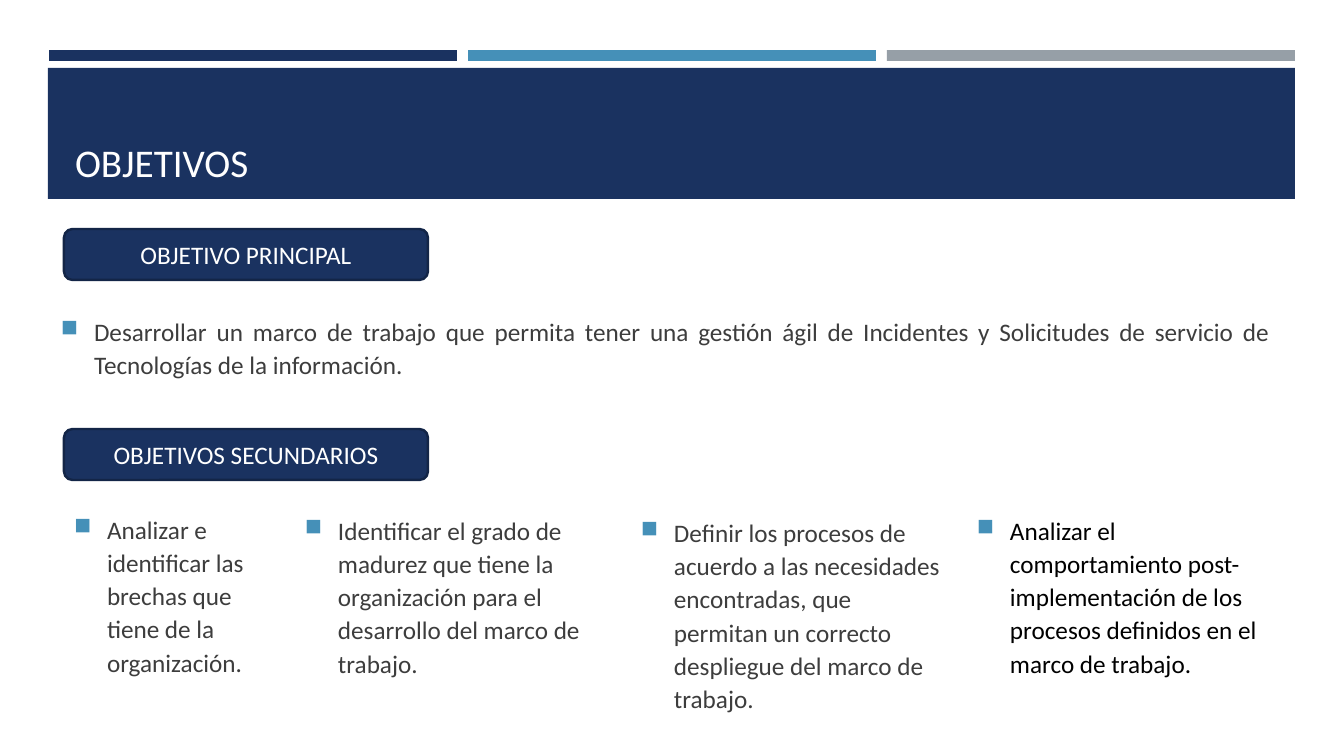
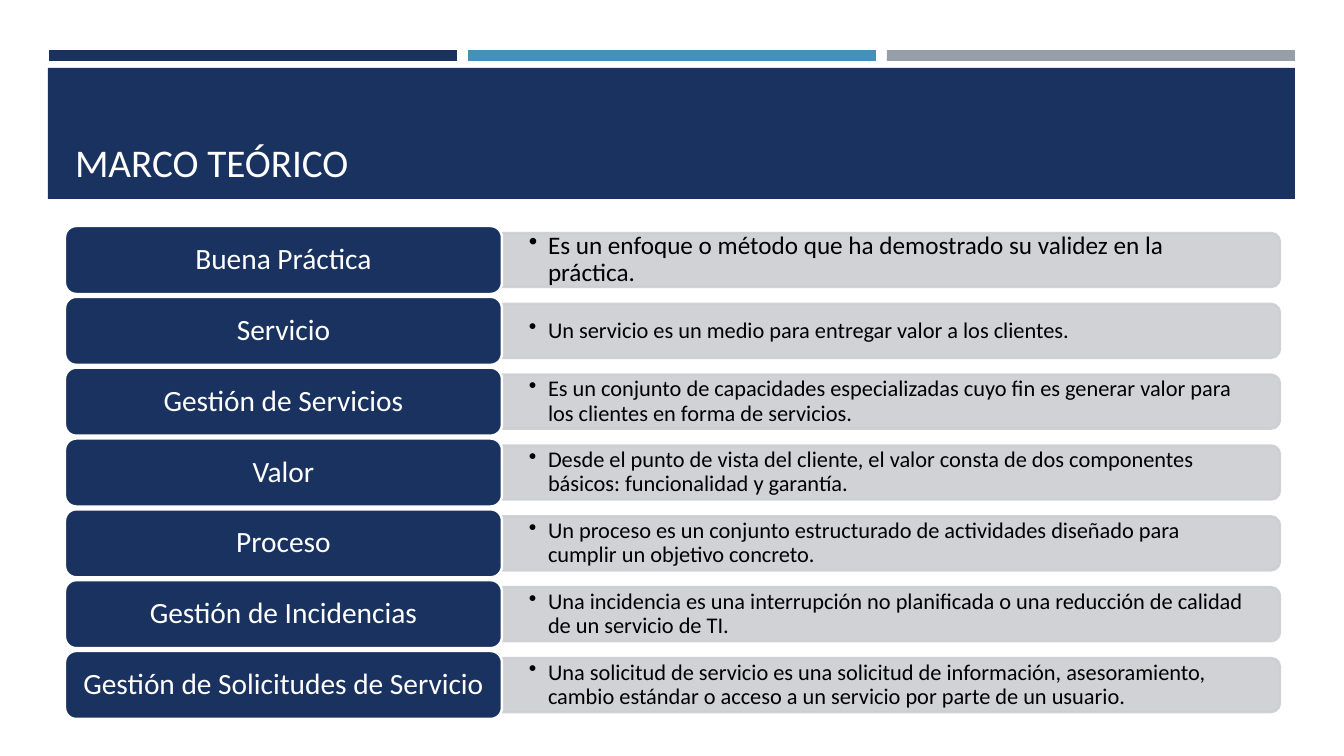
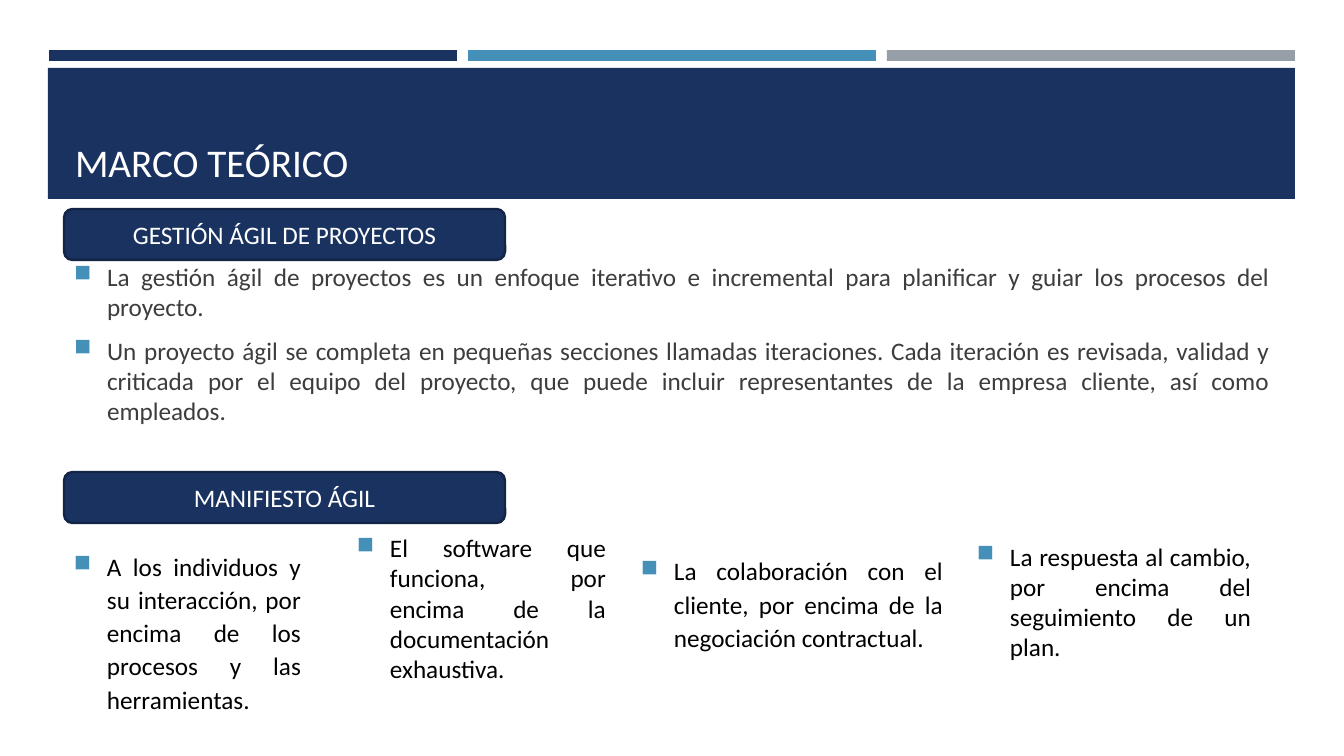
from dataclasses import dataclass
from lxml.etree import SubElement
from pptx import Presentation
from pptx.dml.color import RGBColor
from pptx.enum.shapes import MSO_SHAPE as SHAPE
from pptx.enum.text import MSO_ANCHOR as ANCHOR, PP_ALIGN as ALIGN
from pptx.oxml.ns import qn
from pptx.util import Emu, Pt


@dataclass(frozen=True)
class Theme:
    font: str = "Calibri"
    navy: str = "1A3260"
    edge: str = "132547"
    blue: str = "4590B8"
    gray: str = "969FA7"
    pale: str = "CDCED2"
    ink: str = "3D3D3D"
    black: str = "000000"
    white: str = "FFFFFF"
    title: int = 28
    term: int = 21
    body: int = 18
    small: int = 16
    stroke: float = 1.75


T = Theme()


def px(n):
    return Emu(round(n * 914400 / 100.8))


def rgb(code):
    return RGBColor.from_string(code)


# Basic parts
def block(slide, box, fill, line=None, kind=SHAPE.RECTANGLE):
    shape = slide.shapes.add_shape(kind, *map(px, box))
    shape.shadow.inherit = False
    shape.fill.solid()
    shape.fill.fore_color.rgb = rgb(fill)
    if line:
        shape.line.color.rgb = rgb(line)
        shape.line.width = Pt(T.stroke)
    else:
        shape.line.fill.background()
    return shape


def mark(para, sign, indent, color=None, scale=None):
    """Give a paragraph a hanging bullet."""
    props = para._p.get_or_add_pPr()
    props.set("marL", str(px(indent)))
    props.set("indent", str(-px(indent)))
    if color:
        SubElement(SubElement(props, qn("a:buClr")), qn("a:srgbClr"), val=color)
    if scale:
        SubElement(props, qn("a:buSzPct"), val=str(scale * 1000))
    SubElement(props, qn("a:buChar"), char=sign)


def write(shape, *texts, size=T.body, color=T.white, align=ALIGN.LEFT,
          anchor=ANCHOR.MIDDLE, pad=(10, 5), line=1, before=0, after=0,
          bullet=None):
    frame = shape.text_frame
    frame.word_wrap = True
    frame.vertical_anchor = anchor
    frame.margin_left = frame.margin_right = px(pad[0])
    frame.margin_top = frame.margin_bottom = px(pad[1])
    for i, text in enumerate(texts):
        para = frame.add_paragraph() if i else frame.paragraphs[0]
        para.alignment = align
        para.line_spacing = line
        para.space_before, para.space_after = Pt(before), Pt(after)
        if bullet:
            mark(para, **bullet)
        run = para.add_run()
        run.text = text
        run.font.name, run.font.size = T.font, Pt(size)
        run.font.color.rgb = rgb(color)


def label(slide, box, *texts, **form):
    write(slide.shapes.add_textbox(*map(px, box)), *texts, **form)


# Shared header: three strips above a title band
def header(slide, title, box=(48, 50, 1247, 149)):
    x, y, w, h = box
    for i, color in enumerate((T.navy, T.blue, T.gray)):
        block(slide, (x + 1 + i * 419, y, 408, 11), color)
    block(slide, (x, y + 18, w, h - 18), T.navy)
    label(slide, (x + 17, y + 28, w - 31, h - 37), title,
          size=T.title, anchor=ANCHOR.BOTTOM)


def pill(slide, box, text):
    shape = block(slide, box, T.navy, T.edge, SHAPE.ROUNDED_RECTANGLE)
    write(shape, text, align=ALIGN.CENTER)


def points(slide, box, *texts, color=T.ink, align=ALIGN.JUSTIFY, line=1.1):
    label(slide, box, *texts, color=color, align=align, line=line,
          before=3.6, after=6,
          bullet=dict(sign="■", indent=33, color=T.blue, scale=92))


# One term with its meaning
def entry(slide, box, term, sense, size):
    x, y, w, h = box
    tab, bar = 437, 54
    left, wide, mid = x + tab, w - tab, y + h / 2
    turned = (left + (wide - bar) / 2, mid - wide / 2, bar, wide)
    shape = block(slide, turned, T.pale, T.pale,
                  SHAPE.ROUND_2_SAME_RECTANGLE)
    shape.rotation = 90
    for tone in shape.element.spPr.iter(qn("a:srgbClr")):
        SubElement(tone, qn("a:alpha"), val="90000")
    label(slide, (left, mid - bar / 2, wide - 3, bar), sense, size=size,
          color=T.black, line=0.9, pad=(27, 0),
          bullet=dict(sign="•", indent=19))
    head = block(slide, (x, y, tab, h), T.navy, T.white,
                 SHAPE.ROUNDED_RECTANGLE)
    write(head, term, size=T.term, align=ALIGN.CENTER, line=0.9, pad=(9, 4))


# Types of slide
def goals(slide, box):
    x, y, w, h = box
    pill(slide, (x, y, 364, 51), "OBJETIVO PRINCIPAL")
    points(slide, (x - 13, y + 62, w + 13, 111),
           "Desarrollar un marco de trabajo que permita tener una gestión ágil "
           "de Incidentes y Solicitudes de servicio de Tecnologías de la "
           "información.")
    pill(slide, (x, y + 200, 364, 51), "OBJETIVOS SECUNDARIOS")
    for dx, dy, wide, high, color, text in (
        (0, 276, 231, 178, T.ink,
         "Analizar e identificar las brechas que tiene de la organización."),
        (231, 278, 322, 176, T.ink,
         "Identificar el grado de madurez que tiene la organización para el "
         "desarrollo del marco de trabajo."),
        (567, 276, 322, 218, T.ink,
         "Definir los procesos de acuerdo a las necesidades encontradas, que "
         "permitan un correcto despliegue del marco de trabajo."),
        (903, 278, 322, 176, T.black,
         "Analizar el comportamiento post-implementación de los procesos "
         "definidos en el marco de trabajo."),
    ):
        points(slide, (x + dx, y + dy, wide, high), text,
               color=color, align=ALIGN.LEFT)


def terms(slide, box):
    x, y, w, h = box
    rows = (
        ("Buena Práctica",
         "Es un enfoque o método que ha demostrado su validez en la práctica."),
        ("Servicio",
         "Un servicio es un medio para entregar valor a los clientes."),
        ("Gestión de Servicios",
         "Es un conjunto de capacidades especializadas cuyo fin es generar "
         "valor para los clientes en forma de servicios."),
        ("Valor",
         "Desde el punto de vista del cliente, el valor consta de dos "
         "componentes básicos: funcionalidad y garantía."),
        ("Proceso",
         "Un proceso es un conjunto estructurado de actividades diseñado para "
         "cumplir un objetivo concreto."),
        ("Gestión de Incidencias",
         "Una incidencia es una interrupción no planificada o una reducción "
         "de calidad de un servicio de TI."),
        ("Gestión de Solicitudes de Servicio",
         "Una solicitud de servicio es una solicitud de información, "
         "asesoramiento, cambio estándar o acceso a un servicio por parte de "
         "un usuario."),
    )
    high = 68
    step = (h - high) / (len(rows) - 1)
    for i, (term, sense) in enumerate(rows):
        entry(slide, (x, y + i * step, w, high), term, sense,
              T.small if i else T.body)


def agile(slide, box):
    x, y, w, h = box
    pill(slide, (x, y, 441, 51), "GESTIÓN ÁGIL DE PROYECTOS")
    points(slide, (x, y + 51, w, 167),
           "La gestión ágil de proyectos es un enfoque iterativo e incremental "
           "para planificar y guiar los procesos del proyecto.",
           "Un proyecto ágil se completa en pequeñas secciones llamadas "
           "iteraciones. Cada iteración es revisada, validad y criticada por "
           "el equipo del proyecto, que puede incluir representantes de la "
           "empresa cliente, así como empleados.", line=1)
    pill(slide, (x, y + 263, 441, 51), "MANIFIESTO ÁGIL")
    for dx, dy, wide, high, line, text in (
        (0, 333, 247, 178, 1.1,
         "A los individuos y su interacción, por encima de los procesos y las "
         "herramientas."),
        (283, 331, 269, 136, 1,
         "El software que funciona, por encima de la documentación "
         "exhaustiva."),
        (567, 333, 322, 121, 1.1,
         "La colaboración con el cliente, por encima de la negociación "
         "contractual."),
        (903, 342, 294, 101, 1,
         "La respuesta al cambio, por encima del seguimiento de un plan."),
    ):
        points(slide, (x + dx, y + dy, wide, high), text,
               color=T.black, line=line)


# Build the deck
deck = Presentation()
deck.slide_width, deck.slide_height = px(1344), px(756)
for title, fill, box in (
    ("OBJETIVOS", goals, (64, 229, 1216, 494)),
    ("MARCO TEÓRICO", terms, (65, 226, 1215, 493)),
    ("MARCO TEÓRICO", agile, (64, 209, 1216, 511)),
):
    page = deck.slides.add_slide(deck.slide_layouts[6])
    header(page, title)
    fill(page, box)
deck.save("out.pptx")
